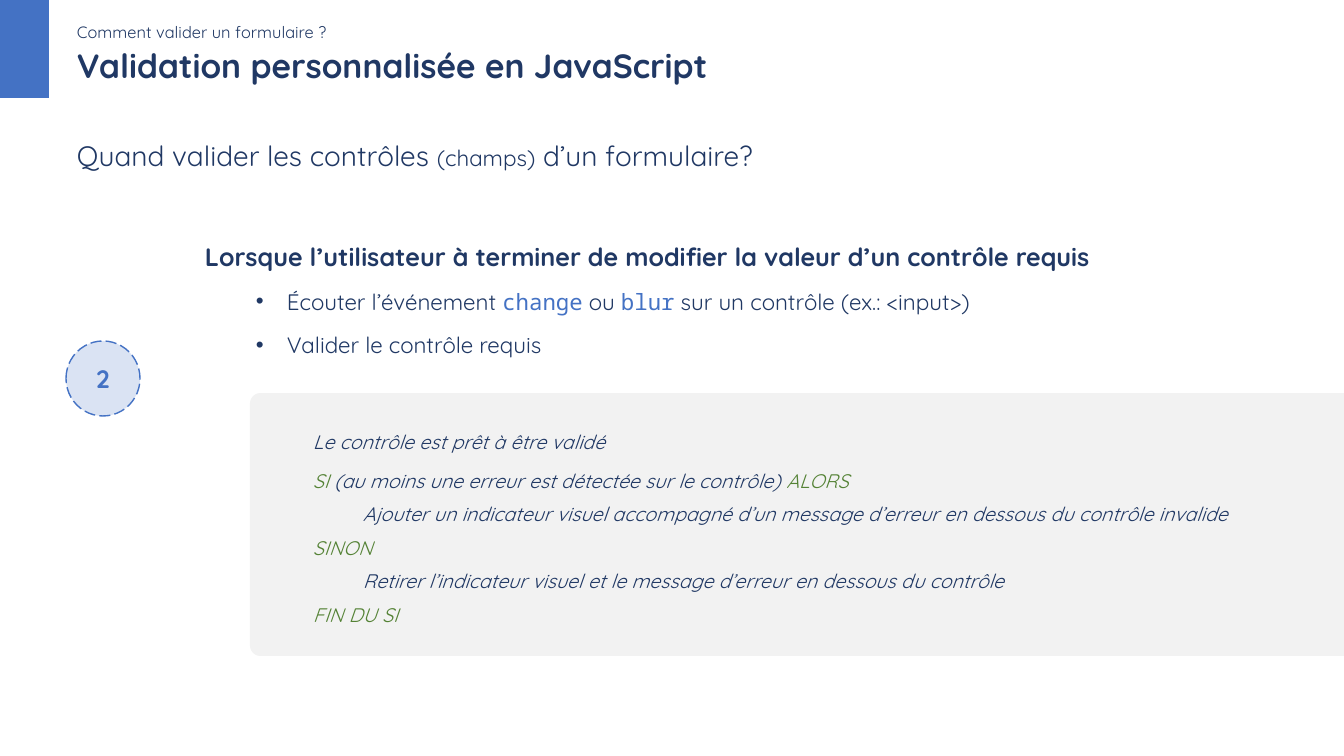
from lxml.etree import SubElement
from pptx import Presentation
from pptx.dml.color import RGBColor
from pptx.enum.dml import MSO_LINE
from pptx.enum.shapes import MSO_SHAPE
from pptx.enum.text import MSO_ANCHOR, MSO_AUTO_SIZE, PP_ALIGN
from pptx.oxml.ns import qn
from pptx.util import Pt

NAVY = RGBColor(0x20, 0x38, 0x64)
BLUE = RGBColor(0x44, 0x72, 0xC4)
PALE_BLUE = RGBColor(0xDA, 0xE3, 0xF3)
GREY = RGBColor(0xF2, 0xF2, 0xF2)
GREEN = RGBColor(0x54, 0x82, 0x35)

EMU_PER_PIXEL = 914400 / 100.8
WIDTH, HEIGHT = 1344, 756


def px(length):
    return round(length * EMU_PER_PIXEL)


def apply(target, values):
    for name, value in values.items():
        setattr(target, name, value)


class SlideBuilder:
    font = "Quicksand"
    color = NAVY

    def __init__(self, slide):
        self.slide = slide

    def fill_frame(self, frame, paragraphs, **frame_format):
        apply(frame, {"word_wrap": True, **frame_format})
        for index, (runs, style) in enumerate(paragraphs):
            paragraph = frame.paragraphs[0] if index == 0 else frame.add_paragraph()
            self.paragraph(paragraph, runs, **style)

    def paragraph(self, paragraph, runs, margin=0, indent=0, bullet=None, font=None, **layout):
        apply(paragraph, {"alignment": PP_ALIGN.LEFT, **layout})
        properties = paragraph._p.get_or_add_pPr()
        properties.set("marL", str(px(margin)))
        properties.set("indent", str(px(indent)))
        if bullet:
            SubElement(properties, qn("a:buFont")).set("typeface", "Arial")
            SubElement(properties, qn("a:buChar")).set("char", bullet)
        for text, changes in runs:
            run = paragraph.add_run()
            run.text = text
            values = {"name": self.font, "color": self.color, **(font or {}), **changes}
            run.font.color.rgb = values.pop("color")
            apply(run.font, values)

    def text(self, box, paragraphs, **frame_format):
        frame = self.slide.shapes.add_textbox(*map(px, box)).text_frame
        self.fill_frame(frame, paragraphs, **frame_format)

    def shape(self, kind, box, fill, paragraphs=(), outline=None, radius=None):
        shape = self.slide.shapes.add_shape(kind, *map(px, box))
        shape.shadow.inherit = False
        shape.fill.solid()
        shape.fill.fore_color.rgb = fill
        if radius is not None:
            shape.adjustments[0] = radius
        if outline:
            shape.line.color.rgb = outline
            apply(shape.line, {"width": Pt(1), "dash_style": MSO_LINE.LONG_DASH})
        else:
            shape.line.fill.background()
        self.fill_frame(shape.text_frame, paragraphs, vertical_anchor=MSO_ANCHOR.MIDDLE)


presentation = Presentation()
apply(presentation, {"slide_width": px(WIDTH), "slide_height": px(HEIGHT)})
builder = SlideBuilder(presentation.slides.add_slide(presentation.slide_layouts[6]))
GROW = {"auto_size": MSO_AUTO_SIZE.SHAPE_TO_FIT_TEXT}

# Header
LEFT = 67
builder.shape(MSO_SHAPE.RECTANGLE, (0, 0, 49, 98), BLUE)
builder.text((LEFT, 13, 874, 54), [
    ([("Comment valider un formulaire ?", {})],
     {"line_spacing": 1.2, "font": {"size": Pt(11.7)}}),
])
builder.text((LEFT, 44, 958, 54), [
    ([("Validation personnalisée en JavaScript", {})],
     {"line_spacing": 0.9, "font": {"size": Pt(24), "bold": True}}),
])

# Question
builder.text((LEFT, 127, 1277, 50), [
    ([("Quand valider les contrôles ", {}),
      ("(champs)", {"size": Pt(16)}),
      (" d’un formulaire?", {})],
     {"line_spacing": 1.2, "space_before": Pt(12), "font": {"size": Pt(20)}}),
], **GROW)

# Step number
builder.shape(MSO_SHAPE.OVAL, (66, 341, 74, 75), PALE_BLUE, [
    ([("2", {})],
     {"alignment": PP_ALIGN.CENTER,
      "font": {"size": Pt(18), "bold": True, "color": BLUE}}),
], outline=BLUE)

# When to validate
event = {"name": "Noto Sans Mono", "color": BLUE}
item = {"level": 1, "margin": 82, "indent": -31, "bullet": "•", "line_spacing": 1.3,
        "space_before": Pt(6), "font": {"size": Pt(16)}}
builder.text((195, 227, 1084, 137), [
    ([("Lorsque l’utilisateur à terminer de modifier la valeur d’un contrôle requis", {})],
     {"line_spacing": 1.3, "space_before": Pt(12), "font": {"size": Pt(18), "bold": True}}),
    ([("Écouter l’événement ", {}), ("change", event), (" ou ", {}), ("blur", event),
      (" sur un contrôle (ex.: <input>)", {})], item),
    ([("Valider le contrôle requis", {})], item),
], **GROW)


# Pseudocode
def code_line(level, space, *runs):
    return runs, {"level": level, "margin": 50 * level, "line_spacing": 1.3,
                  "space_before": Pt(space), "font": {"size": Pt(14), "italic": True}}


keyword = {"color": GREEN}
builder.shape(MSO_SHAPE.ROUNDED_RECTANGLE, (250, 393, 1120, 263), GREY, [
    code_line(1, 6, ("Le contrôle est prêt à être validé", {})),
    code_line(1, 6, ("SI", keyword),
              (" (au moins une erreur est détectée sur le contrôle) ", {}),
              ("ALORS", keyword)),
    code_line(2, 2, ("Ajouter un indicateur visuel accompagné d’un message d’erreur "
                     "en dessous du contrôle invalide", {})),
    code_line(1, 2, ("SINON", keyword)),
    code_line(2, 2, ("Retirer l’indicateur visuel et le message d’erreur "
                     "en dessous du contrôle", {})),
    code_line(1, 2, ("FIN DU SI", keyword)),
], radius=0.04)

presentation.save("out.pptx")
